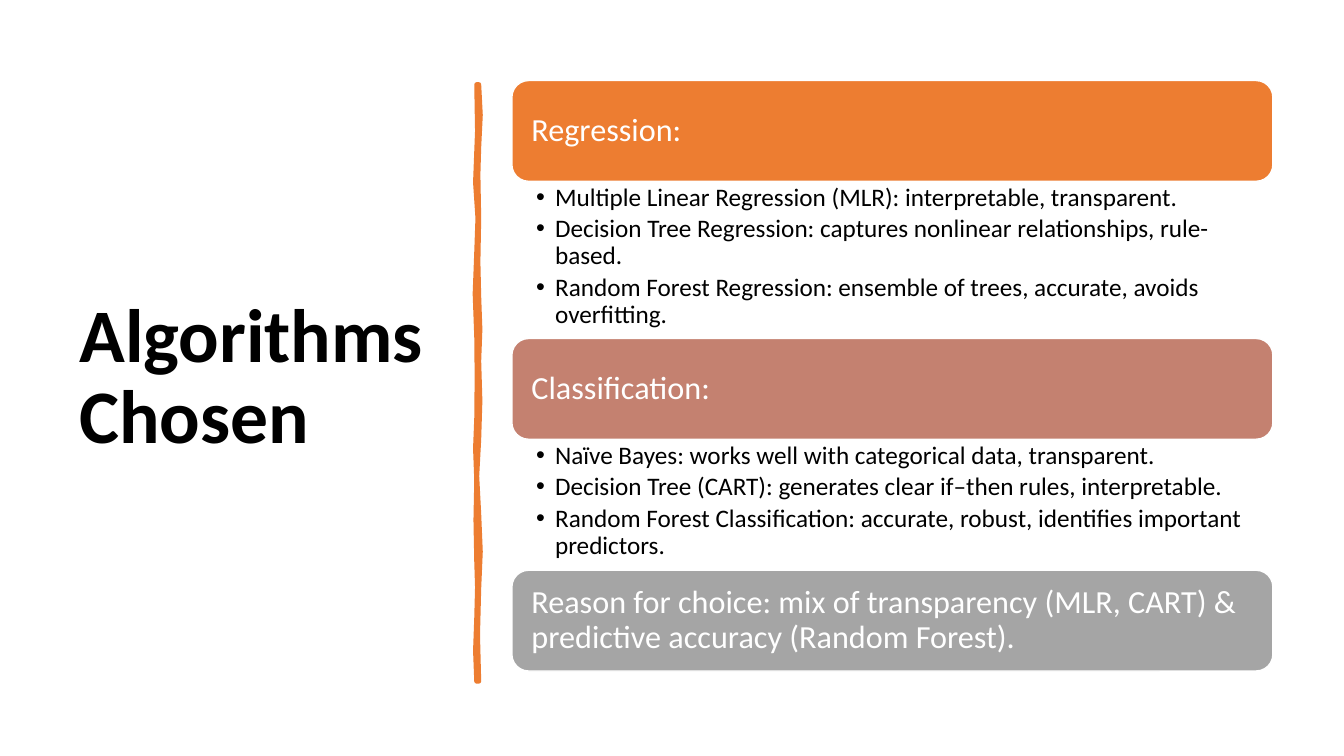
"""Build the slide that lists the chosen algorithms."""
from lxml.etree import SubElement
from pptx import Presentation
from pptx.dml.color import RGBColor
from pptx.enum.shapes import MSO_SHAPE
from pptx.enum.text import MSO_ANCHOR, MSO_AUTO_SIZE, PP_ALIGN
from pptx.oxml.ns import qn
from pptx.util import Cm, Pt

ORANGE, CLAY, GREY = "ED7D31", "C48170", "A5A5A5"
WHITE, BLACK = "FFFFFF", "000000"
COLUMN_LEFT, COLUMN_TOP, COLUMN_WIDTH, CARD_HEIGHT = 12.9, 2.03, 19.18, 2.54

SECTIONS = [
    ("Regression:", ORANGE, 3.96, [
        "Multiple Linear Regression (MLR): interpretable, transparent.",
        "Decision Tree Regression: captures nonlinear relationships, rule-based.",
        "Random Forest Regression: ensemble of trees, accurate, avoids overfitting.",
    ]),
    ("Classification:", CLAY, 3.3, [
        "Naïve Bayes: works well with categorical data, transparent.",
        "Decision Tree (CART): generates clear if–then rules, interpretable.",
        "Random Forest Classification: accurate, robust, identifies important predictors.",
    ]),
    ("Reason for choice: mix of transparency (MLR, CART) & predictive accuracy "
     "(Random Forest).", GREY, 0, []),
]

DIVIDER_RIGHT = [
    (12.07, 2.13), (12.11, 2.9), (12.07, 3.71), (12.05, 4.4), (12.07, 5.5),
    (12.05, 6.6), (12.07, 7.47), (12.1, 8.3), (12.07, 9.1), (12.1, 10.1),
    (12.07, 11.07), (12.02, 12), (12.07, 12.95), (12.11, 13.9), (12.07, 14.83),
    (12.04, 16), (12.07, 17.17),
]
DIVIDER_LEFT = [
    (12.01, 17.17), (11.98, 16.4), (12.01, 15.57), (12.03, 14.8), (12.01, 14.15),
    (11.99, 13.1), (12.01, 12.1), (11.98, 11.3), (12.01, 10.54), (12.02, 9.5),
    (12.01, 8.5), (11.97, 7.4), (12.01, 6.35), (12.04, 5.5), (11.98, 4.6),
    (12.03, 3.3), (12.01, 2.13),
]


def color(value):
    """Turn a hex string into a colour."""
    return RGBColor.from_string(value)


def set_text(shape, lines, *, size, fill=BLACK, bold=False, bullet=False,
             anchor=MSO_ANCHOR.MIDDLE, after=0, margins=(0.25, 0.13, 0.25, 0.13)):
    """Write lines into a shape, one paragraph each."""
    frame = shape.text_frame
    frame.word_wrap = True
    frame.auto_size = MSO_AUTO_SIZE.NONE
    frame.vertical_anchor = anchor
    (frame.margin_left, frame.margin_top,
     frame.margin_right, frame.margin_bottom) = map(Cm, margins)
    for index, line in enumerate(lines):
        paragraph = frame.paragraphs[0] if index == 0 else frame.add_paragraph()
        paragraph.text = line
        paragraph.alignment = PP_ALIGN.LEFT
        paragraph.line_spacing = 0.9
        paragraph.space_before = Pt(0)
        paragraph.space_after = Pt(after)
        if bullet:
            add_bullet(paragraph)
        font = paragraph.font
        font.name, font.size, font.bold = "Calibri", Pt(size), bold
        font.color.rgb = color(fill)


def add_bullet(paragraph):
    """Give a paragraph a hanging round bullet."""
    properties = paragraph._p.get_or_add_pPr()
    properties.set("marL", str(Cm(0.48)))
    properties.set("indent", str(-Cm(0.48)))
    SubElement(properties, qn("a:buFont"), typeface="Arial")
    SubElement(properties, qn("a:buChar"), char="•")


def style_shape(shape, fill, line, width):
    """Set a flat fill and outline."""
    shape.shadow.inherit = False
    shape.fill.solid()
    shape.fill.fore_color.rgb = color(fill)
    shape.line.color.rgb = color(line)
    shape.line.width = Pt(width)


def add_title(slide, text):
    """Place and fill the title placeholder."""
    title = slide.shapes.title
    title.left, title.top, title.width, title.height = map(Cm, (1.75, 1.78, 9.5, 15.52))
    set_text(title, [text], size=54, bold=True, after=6)


def add_divider(slide):
    """Draw the hand-drawn vertical bar."""
    points = [(Cm(x), Cm(y)) for x, y in DIVIDER_RIGHT + DIVIDER_LEFT]
    builder = slide.shapes.build_freeform(*points[0])
    builder.add_line_segments(points[1:], close=True)
    style_shape(builder.convert_to_shape(), ORANGE, ORANGE, 3.25)


def add_card(slide, top, text, fill):
    """Add a rounded heading card."""
    card = slide.shapes.add_shape(
        MSO_SHAPE.ROUNDED_RECTANGLE, Cm(COLUMN_LEFT), Cm(top),
        Cm(COLUMN_WIDTH), Cm(CARD_HEIGHT))
    style_shape(card, fill, WHITE, 1)
    set_text(card, [text], size=23, fill=WHITE, margins=(0.37, 0.37, 0.37, 0.37))


def add_list(slide, top, height, items):
    """Add the bulleted list below a card."""
    box = slide.shapes.add_textbox(
        Cm(COLUMN_LEFT), Cm(top), Cm(COLUMN_WIDTH), Cm(height))
    set_text(box, items, size=18, bullet=True, anchor=MSO_ANCHOR.TOP,
             after=3, margins=(0.61, 0.08, 0.46, 0.08))


def main():
    """Build and save the slide."""
    presentation = Presentation()
    presentation.slide_width, presentation.slide_height = Cm(33.87), Cm(19.05)
    slide = presentation.slides.add_slide(presentation.slide_layouts[5])
    add_title(slide, "Algorithms Chosen")
    add_divider(slide)
    top = COLUMN_TOP
    for heading, fill, list_height, items in SECTIONS:
        add_card(slide, top, heading, fill)
        top += CARD_HEIGHT
        if items:
            add_list(slide, top, list_height, items)
            top += list_height
    presentation.save("out.pptx")


if __name__ == "__main__":
    main()
